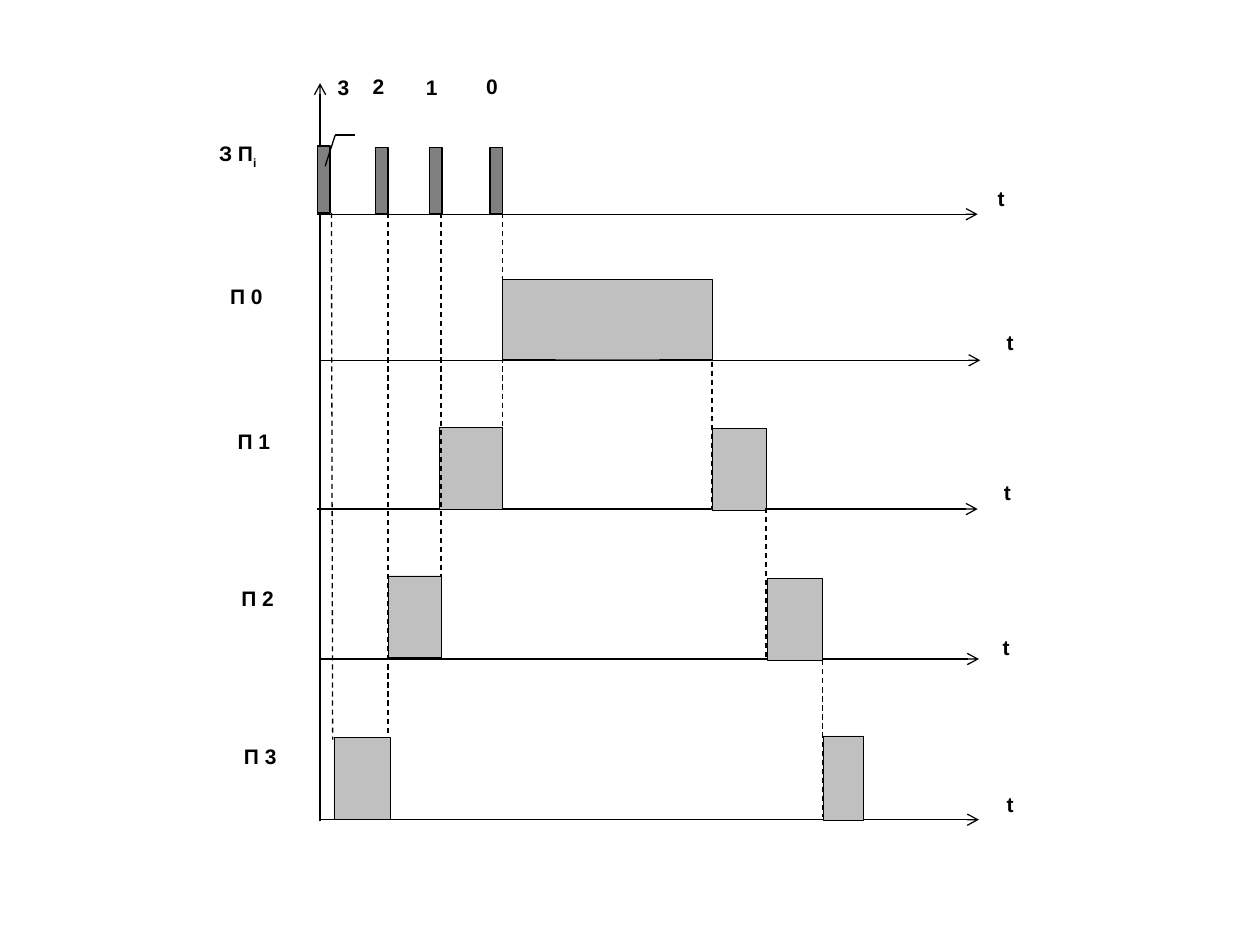
"""Build a timing diagram of nested interrupt programs with five time axes."""
from dataclasses import dataclass

from lxml import etree
from pptx import Presentation
from pptx.dml.color import RGBColor
from pptx.enum.dml import MSO_LINE
from pptx.enum.shapes import MSO_CONNECTOR, MSO_SHAPE
from pptx.enum.text import MSO_ANCHOR, PP_ALIGN
from pptx.oxml.ns import qn
from pptx.util import Pt

RECTANGLE = MSO_SHAPE.RECTANGLE
STRAIGHT = MSO_CONNECTOR.STRAIGHT
DASH = MSO_LINE.DASH
TOP = MSO_ANCHOR.TOP
LEFT = PP_ALIGN.LEFT


@dataclass(frozen=True)
class Theme:
    ink: RGBColor = RGBColor(0x00, 0x00, 0x00)
    paper: RGBColor = RGBColor(0xFF, 0xFF, 0xFF)
    request: RGBColor = RGBColor(0x80, 0x80, 0x80)
    program: RGBColor = RGBColor(0xC0, 0xC0, 0xC0)
    font: str = "Arial"
    text_size: float = 12
    line_width: float = 0.75
    thin_line: float = 0.25


theme = Theme()
deck = Presentation()
deck.slide_width, deck.slide_height = Pt(720), Pt(540)
slide = deck.slides.add_slide(deck.slide_layouts[6])
diagram = slide.shapes.add_group_shape().shapes


def add_box(text, left, top, width, height, fill=theme.paper,
            outline=theme.paper, weight=theme.line_width, indent=7.2, subscript=""):
    box = diagram.add_shape(RECTANGLE, Pt(left), Pt(top), Pt(width), Pt(height))
    box.shadow.inherit = False
    box.fill.solid()
    box.fill.fore_color.rgb = fill
    box.line.color.rgb = outline
    box.line.width = Pt(weight)
    frame = box.text_frame
    frame.word_wrap = True
    frame.vertical_anchor = TOP
    frame.margin_left = Pt(indent)
    paragraph = frame.paragraphs[0]
    paragraph.alignment = LEFT
    for part, baseline in ((text, None), (subscript, "-25000")):
        if part:
            run = paragraph.add_run()
            run.text = part
            run.font.name = theme.font
            run.font.size = Pt(theme.text_size)
            run.font.bold = True
            run.font.color.rgb = theme.ink
            if baseline:
                run.font._element.set("baseline", baseline)


def add_line(x1, y1, x2, y2, dashed=False, arrow=False):
    line = diagram.add_connector(STRAIGHT, Pt(x1), Pt(y1), Pt(x2), Pt(y2))
    line.line.color.rgb = theme.ink
    line.line.width = Pt(theme.line_width)
    if dashed:
        line.line.dash_style = DASH
    if arrow:
        etree.SubElement(line.line._get_or_add_ln(), qn("a:tailEnd"), type="arrow")
    etree.SubElement(line._element.spPr, qn("a:effectLst"))


for level, left, top in (("0", 270.7, 38.2), ("1", 236.2, 38.9),
                         ("2", 205.9, 38.2), ("3", 185.8, 38.9)):
    add_box(level, left, top, 25.2, 38.2)

add_box("З П", 118.1, 77, 51.1, 43.9, subscript="i")
for program, left, top in (("П 0", 121, 158.4), ("П 1", 125.3, 241.2),
                           ("П 2", 127.4, 331.2), ("П 3", 128.9, 421.2)):
    add_box(program, left, top, 51.1, 43.9, indent=10.5)

for left, top in ((563, 102.2), (568.1, 185), (566.6, 270.7),
                  (565.9, 359.3), (568.1, 448.6)):
    add_box("t", left, top, 23, 39.6)

add_line(182.9, 469.4, 182.9, 47.5, arrow=True)
for start, end, y in ((181.4, 558.7, 122.4), (183.6, 560.2, 205.9),
                      (181.4, 558.7, 290.9), (182.9, 559.4, 376.6),
                      (182.9, 559.4, 468.4)):
    add_line(start, y, end, y, arrow=True)

for left, top in ((181.4, 83.5), (214.6, 84.2), (245.5, 84.2), (280.1, 84.2)):
    add_box("", left, top, 7.2, 38.2, fill=theme.request, outline=theme.ink)

for left, top, width, height in (
    (287.3, 159.8, 119.5, 45.4),
    (251.3, 244.1, 36, 46.8),
    (406.8, 244.8, 31, 46.8),
    (221.8, 329, 30.2, 46.8),
    (438.5, 330.5, 31.7, 46.8),
    (190.8, 421.2, 32.4, 46.8),
    (470.2, 420.5, 23, 48.2),
):
    add_box("", left, top, width, height, fill=theme.program,
            outline=theme.ink, weight=theme.thin_line)

for x1, y1, x2, y2 in (
    (189.4, 121.7, 190.1, 422.6),
    (221.8, 121.7, 221.8, 421.2),
    (252, 121.7, 252, 329),
    (287.3, 121.7, 287.3, 288.7),
    (406.8, 206.6, 406.8, 290.2),
    (437.8, 290.2, 437.8, 375.8),
    (470.2, 377.3, 470.2, 466.6),
):
    add_line(x1, y1, x2, y2, dashed=True)

add_line(185.8, 95, 191.5, 77.4)
add_line(191.5, 77.2, 203, 77.2)

deck.save("out.pptx")
